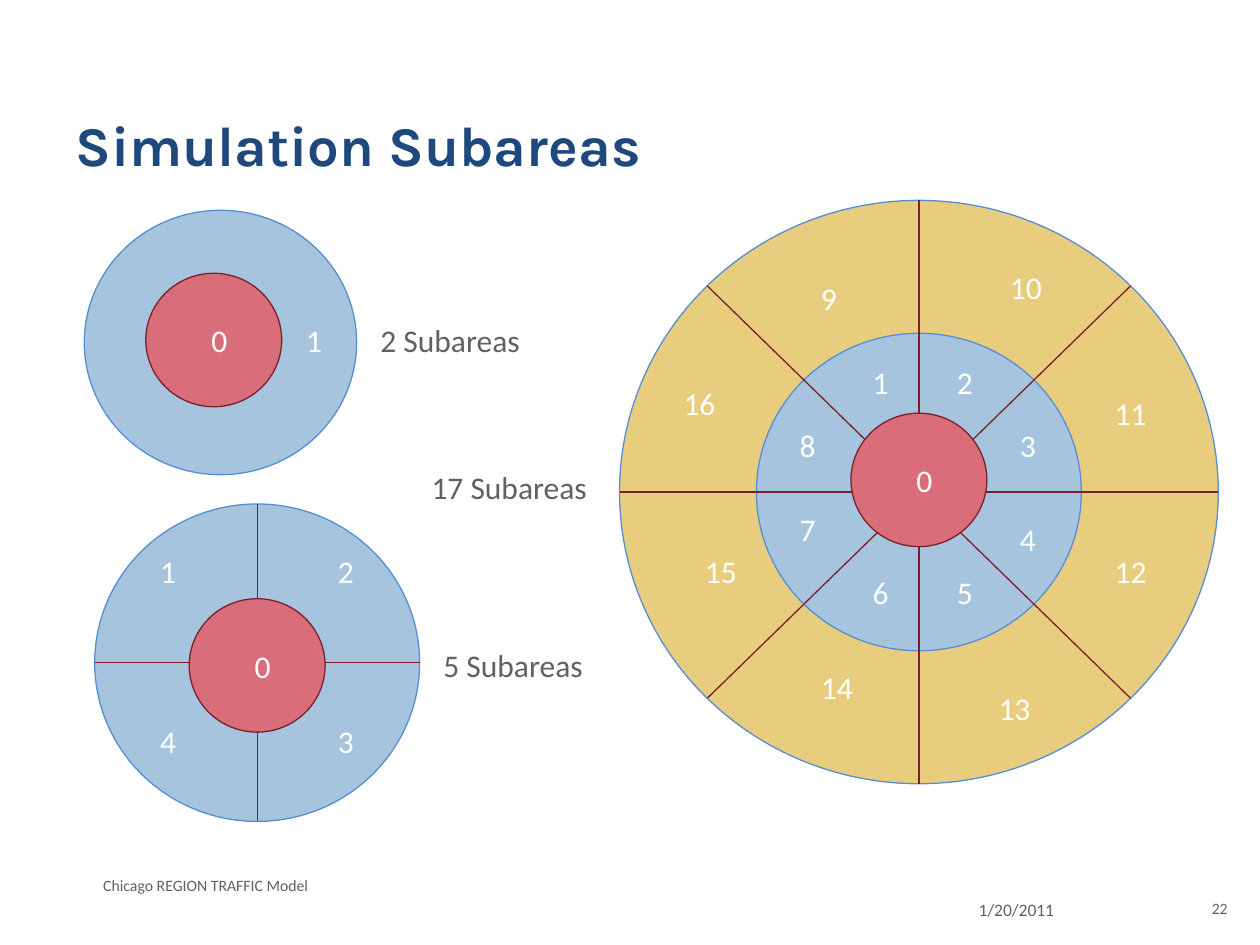
from math import cos, pi, sin

from lxml.etree import SubElement
from pptx import Presentation
from pptx.dml.color import RGBColor
from pptx.enum.shapes import MSO_CONNECTOR, MSO_SHAPE
from pptx.enum.text import MSO_ANCHOR, MSO_AUTO_SIZE, PP_ALIGN
from pptx.oxml.ns import qn
from pptx.util import Cm, Pt

NAVY, GRAY, WHITE = "1F497D", "616161", "FFFFFF"
BLUE, BLUE_EDGE = "A6C4DE", "558ED5"
RED, RED_EDGE = "D96E7A", "7A202A"
GOLD = "E8CD7E"

RING_W, RING_H = 6.55, 6.4
CORE_W, CORE_H = 2.74, 2.69


def rgb(value):
    return RGBColor.from_string(value)


def add_text(shapes, text, x, y, w, h, size, color=GRAY, font="Calibri"):
    sp = shapes.add_textbox(Cm(x), Cm(y), Cm(w), Cm(h))
    tf = sp.text_frame
    tf.word_wrap = True
    p = tf.paragraphs[0]
    p.text = text
    p.font.name = font
    p.font.size = Pt(size)
    p.font.color.rgb = rgb(color)
    return tf


def add_label(shapes, text, x, y, w=None, color=WHITE):
    """Place an 18 pt label that does not wrap; w defaults to fit its digits."""
    w = w or 0.51 + 0.33 * len(text)
    tf = add_text(shapes, text, x, y, w, 1.02, 18, color)
    tf.word_wrap = False
    tf.auto_size = MSO_AUTO_SIZE.SHAPE_TO_FIT_TEXT


def add_disc(shapes, x, y, w, h, fill=BLUE, edge=BLUE_EDGE):
    sp = shapes.add_shape(MSO_SHAPE.OVAL, Cm(x), Cm(y), Cm(w), Cm(h))
    sp.shadow.inherit = False
    sp.fill.solid()
    sp.fill.fore_color.rgb = rgb(fill)
    sp.line.color.rgb = rgb(edge)
    sp.line.width = Pt(0.75)


def add_core(shapes, x, y):
    add_disc(shapes, x, y, CORE_W, CORE_H, RED, RED_EDGE)
    add_label(shapes, "0", x + 1.07, y + 0.84)


def add_diameters(shapes, x, y, w, h, count):
    """Cut the ellipse in the box into equal sectors with count lines."""
    cx, cy = x + w / 2, y + h / 2
    for i in range(count):
        dx, dy = w / 2 * cos(pi * i / count), h / 2 * sin(pi * i / count)
        line = shapes.add_connector(MSO_CONNECTOR.STRAIGHT, Cm(cx - dx), Cm(cy - dy),
                                    Cm(cx + dx), Cm(cy + dy))
        line.line.color.rgb = rgb(RED_EDGE)
        line.line.width = Pt(0.75)
        SubElement(line._element.spPr, qn("a:effectLst"))


def add_sector_numbers(shapes, x, y, offsets):
    """Number the offsets from 1, each measured from the corner x, y."""
    for number, (dx, dy) in enumerate(offsets, start=1):
        add_label(shapes, str(number), x + dx, y + dy)


def add_two_subareas(s, x, y, w, h):
    shapes = s.shapes.add_group_shape().shapes
    add_disc(shapes, x, y, w, h)
    add_sector_numbers(shapes, x, y, [(4.22, 2.11)])
    add_core(shapes, x + 1.24, y + 1.27)
    add_label(shapes, "2 Subareas", x + 5.72, y + 2.11, 3.35, GRAY)


def add_five_subareas(s, x, y, w, h):
    shapes = s.shapes.add_group_shape().shapes
    add_disc(shapes, x, y, w, h)
    add_diameters(shapes, x, y, w, h, 2)
    left, right, top, bottom = 1.07, 4.65, 0.84, 4.27
    add_sector_numbers(shapes, x, y, [(left, top), (right, top),
                                      (right, bottom), (left, bottom)])
    add_core(shapes, x + (w - CORE_W) / 2, y + 1.91)
    add_label(shapes, "5 Subareas", x + 6.78, y + 2.74, 3.35, GRAY)


def add_seventeen_subareas(s, x, y, w, h):
    shapes = s.shapes.add_group_shape().shapes
    add_disc(shapes, x, y, w, h, GOLD)
    add_disc(shapes, x + (w - RING_W) / 2, y + (h - RING_H) / 2, RING_W, RING_H)
    add_diameters(shapes, x, y, w, h, 4)
    inner = [(4.85, 3.15), (6.55, 3.15), (7.82, 4.42), (7.82, 6.32),
             (6.55, 7.39), (4.85, 7.39), (3.38, 6.12), (3.38, 4.42)]
    outer = [(3.81, 1.47), (7.62, 1.24), (9.73, 3.78), (9.73, 6.96),
             (7.39, 9.73), (3.81, 9.3), (1.47, 6.96), (1.04, 3.58)]
    add_sector_numbers(shapes, x, y, inner + outer)
    add_core(shapes, x + (w - CORE_W) / 2, y + 4.29)
    add_label(shapes, "17 Subareas", x - 4.04, y + 5.28, 3.68, GRAY)


def add_title(s, x, y, w, h):
    tf = add_text(s.shapes, "Simulation Subareas", x, y, w, h, 32, NAVY, "Karla")
    tf.vertical_anchor = MSO_ANCHOR.BOTTOM
    tf.margin_bottom = Cm(0.35)
    tf.paragraphs[0].font.bold = True


def add_footer(s, x, y, w):
    add_text(s.shapes, "Chicago REGION TRAFFIC Model", x, y, 16.51, 0.64, 9)
    add_text(s.shapes, "1/20/2011", x + 17.65, y + 0.46, 3.81, 0.84, 10)
    number_w = 1.07
    tf = add_text(s.shapes, "22", x + w - number_w, y + 0.46, number_w, 0.81, 9)
    tf.paragraphs[0].alignment = PP_ALIGN.RIGHT


def main():
    prs = Presentation()
    prs.slide_width, prs.slide_height = Cm(25.4), Cm(19.05)
    s = prs.slides.add_slide(prs.slide_layouts[6])
    add_title(s, 1.27, 0.76, 22.86, 3.18)
    add_footer(s, 1.83, 17.53, 23.17)
    add_two_subareas(s, 1.7, 4.24, 5.49, 5.33)
    add_five_subareas(s, 1.91, 10.16, RING_W, RING_H)
    add_seventeen_subareas(s, 12.49, 4.04, 12.07, 11.76)
    prs.save("out.pptx")


if __name__ == "__main__":
    main()
